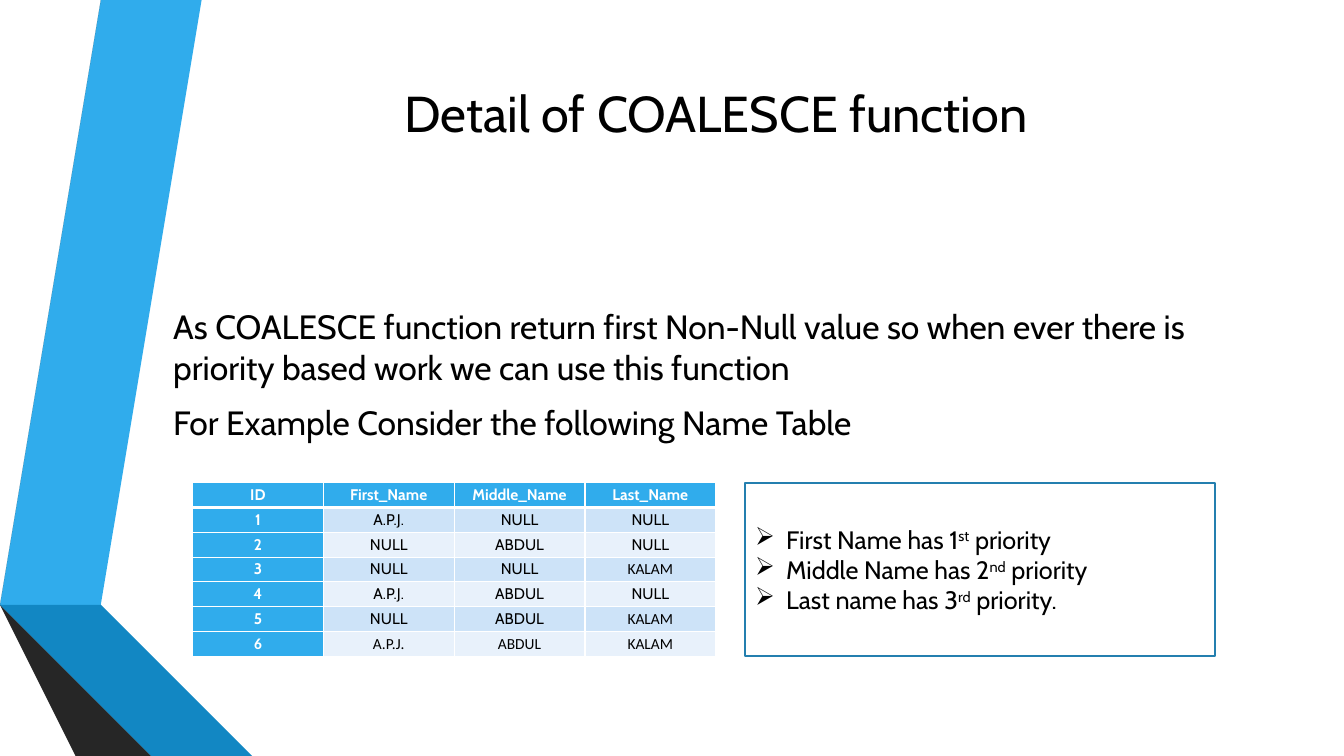
"""Build the slide that explains priorities with the COALESCE function."""
from typing import Any, NamedTuple

from lxml import etree
from pptx import Presentation, util as u
from pptx.dml import color as col
from pptx.enum import shapes, text
from pptx.oxml import ns

WHITE = col.RGBColor(0xFF, 0xFF, 0xFF)
BLACK = col.RGBColor(0x00, 0x00, 0x00)
BLUE = col.RGBColor(0x30, 0xAC, 0xEC)
DEEP_BLUE = col.RGBColor(0x12, 0x87, 0xC3)
NAVY = col.RGBColor(0x0C, 0x5A, 0x82)
FRAME_BLUE = col.RGBColor(0x24, 0x7F, 0xAF)
GREY = col.RGBColor(0x59, 0x59, 0x59)
DARK_GREY = col.RGBColor(0x40, 0x40, 0x40)
SHADOW_GREY = col.RGBColor(0x26, 0x26, 0x26)
BANDS = (col.RGBColor(0xE8, 0xF1, 0xFB), col.RGBColor(0xCD, 0xE3, 0xF8))

FONT = {"name": "Cabin", "bold": False}
TITLE_FONT = FONT | {"size": u.Pt(36)}
BODY_FONT = FONT | {"size": u.Pt(24)}
LIST_FONT = FONT | {"size": u.Pt(18)}
CELL_FONT = FONT | {"size": u.Pt(11)}
BODY_SPACING = {"space_before": u.Pt(5), "space_after": u.Pt(6)}


class Ribbon(NamedTuple):
    color: col.RGBColor
    points: list[tuple[float, float]]


class TextBlock(NamedTuple):
    box: tuple[float, float, float, float]
    lines: list[str]
    font: dict[str, Any]
    paragraph: dict[str, Any]
    frame: dict[str, Any]


class Priority(NamedTuple):
    start: str
    ordinal: str
    end: str


RIBBONS = [
    Ribbon(BLUE, [(0.5, 5.78), (0.77, 5.83), (1.73, 0), (1.45, 0)]),
    Ribbon(GREY, [(1.39, 0), (1.11, 0), (0.16, 5.73), (0.44, 5.77)]),
    Ribbon(SHADOW_GREY, [(0.16, 5.73), (1.45, 7.5), (1.51, 7.5)]),
    Ribbon(NAVY, [(0.5, 5.79), (2.08, 7.5), (2.14, 7.5)]),
    Ribbon(DEEP_BLUE, [(0.5, 5.79), (2.14, 7.5), (2.83, 7.5), (0.77, 5.83), (0.5, 5.78)]),
    Ribbon(DARK_GREY, [(2.02, 7.5), (0.48, 5.83), (0.43, 5.78), (0.44, 5.77),
                       (0.16, 5.73), (1.51, 7.5)]),
]
TEXTS = [
    TextBlock((1.62, 0.75, 10.96, 0.72), ["Detail of COALESCE function"], TITLE_FONT,
              {"alignment": text.PP_ALIGN.CENTER}, {}),
    TextBlock((1.62, 1.65, 10.96, 4.68),
              ["As COALESCE function return first Non-Null value so when ever there is "
               "priority based work we can use this function",
               "For Example Consider the following Name Table"],
              BODY_FONT, BODY_SPACING, {"margin_bottom": u.Inches(0.6)}),
]
NAMES = [
    ("ID", "First_Name", "Middle_Name", "Last_Name"),
    ("1", "A.P.J.", "NULL", "NULL"),
    ("2", "NULL", "ABDUL", "NULL"),
    ("3", "NULL", "NULL", "KALAM"),
    ("4", "A.P.J.", "ABDUL", "NULL"),
    ("5", "NULL", "ABDUL", "KALAM"),
    ("6", "A.P.J.", "ABDUL", "KALAM"),
]
PRIORITIES = [
    Priority("First Name has 1", "st", " priority"),
    Priority("Middle Name has 2", "nd", " priority"),
    Priority("Last name has 3", "rd", " priority."),
]


def apply(target: Any, values: dict[str, Any]) -> None:
    """Set every given attribute on the target."""
    for name, value in values.items():
        setattr(target, name, value)


def add_run(p: Any, words: str, font: dict[str, Any], color: col.RGBColor = BLACK) -> Any:
    """Add a formatted run to a paragraph."""
    r = p.add_run()
    r.text = words
    apply(r.font, font)
    r.font.color.rgb = color
    return r


def inches(*lengths: float) -> list[int]:
    """Convert numbers to lengths in inches."""
    return [u.Inches(length) for length in lengths]


def draw_ribbons(s: Any) -> None:
    """Draw the folded ribbons at the left edge."""
    group = s.shapes.add_group_shape()
    for ribbon in RIBBONS:
        builder = group.shapes.build_freeform(*ribbon.points[0], scale=u.Inches(1))
        builder.add_line_segments(ribbon.points[1:], close=True)
        sp = builder.convert_to_shape()
        sp.shadow.inherit = False
        sp.fill.solid()
        sp.fill.fore_color.rgb = ribbon.color
        sp.line.fill.background()


def draw_text(s: Any, block: TextBlock) -> None:
    """Draw a text box with one paragraph per line."""
    tf = s.shapes.add_textbox(*inches(*block.box)).text_frame
    apply(tf, {"word_wrap": True, "vertical_anchor": text.MSO_ANCHOR.MIDDLE} | block.frame)
    for i, line in enumerate(block.lines):
        p = tf.paragraphs[0] if i == 0 else tf.add_paragraph()
        apply(p, block.paragraph)
        add_run(p, line, block.font)


def add_borders(cell: Any, widths: dict[str, float]) -> None:
    """Give the cell white borders of the given widths."""
    properties = cell._tc.get_or_add_tcPr()
    for side, width in widths.items():
        line = etree.SubElement(properties, ns.qn(f"a:ln{side}"), w=str(u.Pt(width)))
        fill = etree.SubElement(line, ns.qn("a:solidFill"))
        etree.SubElement(fill, ns.qn("a:srgbClr"), val=str(WHITE))


def draw_table(s: Any) -> None:
    """Draw the name table with a blue header row and ID column."""
    frame = s.shapes.add_table(len(NAMES), len(NAMES[0]), *inches(1.91, 4.79, 5.19, 1.72))
    margins = dict(zip(("margin_left", "margin_top", "margin_right", "margin_bottom"),
                       inches(0.07, 0, 0.07, 0)))
    for i, row in enumerate(NAMES):
        for j, value in enumerate(row):
            cell = frame.table.cell(i, j)
            heading = i == 0 or j == 0
            apply(cell, margins)
            add_borders(cell, {"L": 1, "R": 1} | ({"T": 1, "B": 3} if i == 0 else {"B": 1}))
            cell.fill.solid()
            cell.fill.fore_color.rgb = BLUE if heading else BANDS[i % 2]
            p = cell.text_frame.paragraphs[0]
            apply(p, {"alignment": text.PP_ALIGN.CENTER, "line_spacing": 1.15})
            calibri = value == "KALAM" or i == len(NAMES) - 1
            font = CELL_FONT | {"name": "Calibri" if calibri else "Cabin", "bold": heading}
            add_run(p, value, font, WHITE if heading else BLACK)


def draw_priorities(s: Any) -> None:
    """Draw the framed list of priorities."""
    sp = s.shapes.add_shape(shapes.MSO_SHAPE.RECTANGLE, *inches(7.39, 4.79, 4.66, 1.72))
    sp.shadow.inherit = False
    sp.fill.solid()
    sp.fill.fore_color.rgb = WHITE
    sp.line.color.rgb = FRAME_BLUE
    sp.line.width = u.Pt(1.25)
    tf = sp.text_frame
    apply(tf, {"word_wrap": True, "vertical_anchor": text.MSO_ANCHOR.MIDDLE})
    indent = u.Inches(0.31)
    for i, priority in enumerate(PRIORITIES):
        p = tf.paragraphs[0] if i == 0 else tf.add_paragraph()
        p.alignment = text.PP_ALIGN.LEFT
        properties = p._p.get_or_add_pPr()
        properties.set("marL", str(indent))
        properties.set("indent", str(-indent))
        etree.SubElement(properties, ns.qn("a:buChar"), char="➢")
        add_run(p, priority.start, LIST_FONT)
        ordinal = add_run(p, priority.ordinal, LIST_FONT)
        ordinal._r.get_or_add_rPr().set("baseline", "30000")
        add_run(p, priority.end, LIST_FONT)


def main() -> None:
    """Build and save the presentation."""
    prs = Presentation()
    apply(prs, {"slide_width": u.Inches(13.33), "slide_height": u.Inches(7.5)})
    s = prs.slides.add_slide(prs.slide_layouts[6])
    draw_ribbons(s)
    for block in TEXTS:
        draw_text(s, block)
    draw_table(s)
    draw_priorities(s)
    prs.save("out.pptx")


if __name__ == "__main__":
    main()
